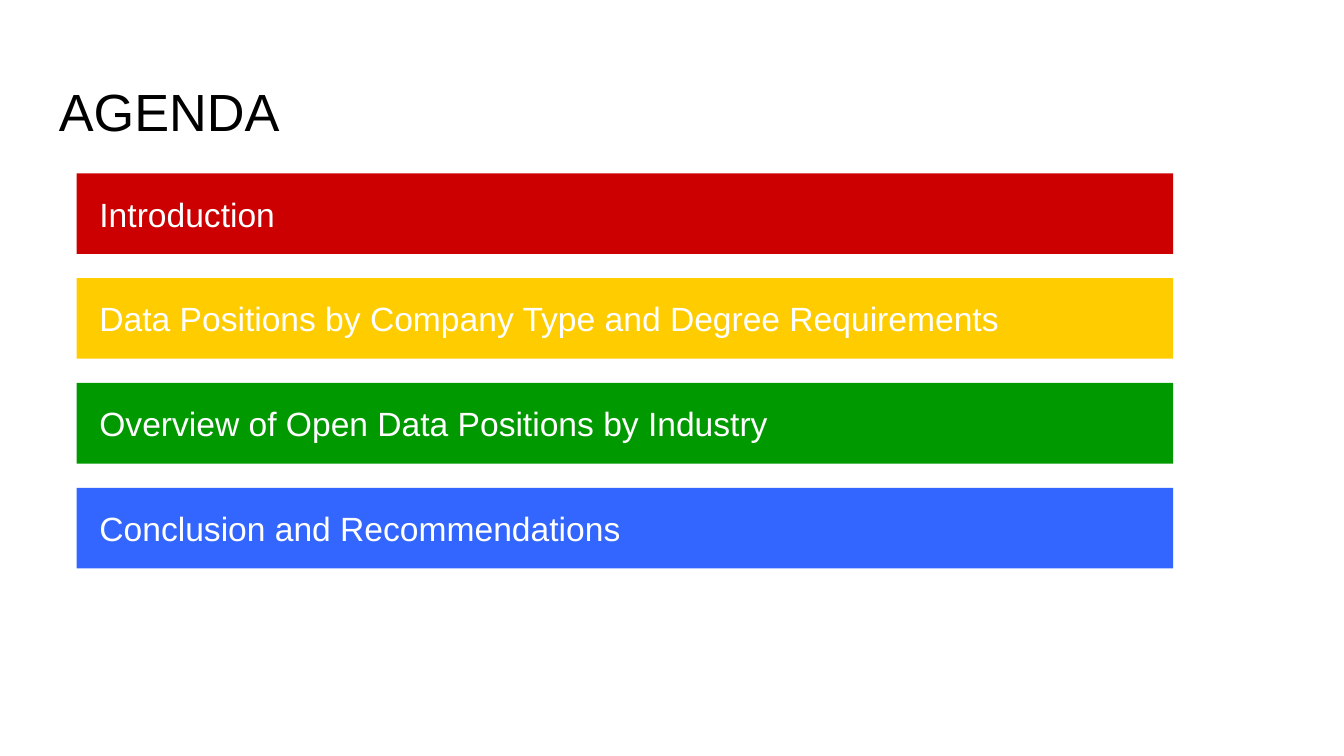
import pptx
import pptx.util
import pptx.dml.color
import pptx.enum.shapes
import pptx.enum.text

TITLE = "AGENDA"
ITEMS = [
    ("Introduction", "CC0000"),
    ("Data Positions by Company Type and Degree Requirements", "FFCC00"),
    ("Overview of Open Data Positions by Industry", "009900"),
    ("Conclusion and Recommendations", "3366FF"),
]
WIDE = 10
HIGH = WIDE * 9 / 16
LEFT, TOP = 0.57, 1.29
BAR_W, BAR_H, STEP = 8.16, 0.6, 0.78

inch = pptx.util.Inches
ANCHOR = pptx.enum.text.MSO_ANCHOR


def color(code):
    return pptx.dml.color.RGBColor.from_string(code)


def write(shape, text, size, code, pads, anchor):
    frame = shape.text_frame
    frame.word_wrap = True
    frame.vertical_anchor = anchor
    (frame.margin_left, frame.margin_top,
     frame.margin_right, frame.margin_bottom) = map(inch, pads)
    frame.text = text
    para = frame.paragraphs[0]
    para.alignment = pptx.enum.text.PP_ALIGN.LEFT
    font = para.runs[0].font
    font.name = "Arial"
    font.size = pptx.util.Pt(size)
    font.color.rgb = color(code)


def add_bar(slide, row, text, fill):
    bar = slide.shapes.add_shape(
        pptx.enum.shapes.MSO_SHAPE.RECTANGLE,
        inch(LEFT), inch(TOP + row * STEP), inch(BAR_W), inch(BAR_H))
    bar.shadow.inherit = False
    bar.fill.solid()
    bar.fill.fore_color.rgb = color(fill)
    bar.line.fill.background()
    write(bar, text, 18, "FFFFFF", (0.17, 0.07, 0.07, 0.07), ANCHOR.MIDDLE)


def main():
    deck = pptx.Presentation()
    deck.slide_width, deck.slide_height = inch(WIDE), inch(HIGH)
    slide = deck.slides.add_slide(deck.slide_layouts[6])
    for row, (text, fill) in enumerate(ITEMS):
        add_bar(slide, row, text, fill)
    title = slide.shapes.add_textbox(
        inch(0.34), inch(0.49), inch(9.32), inch(0.63))
    write(title, TITLE, 28, "000000", (0.1, 0.1, 0.1, 0.1), ANCHOR.TOP)
    deck.save("out.pptx")


if __name__ == "__main__":
    main()
